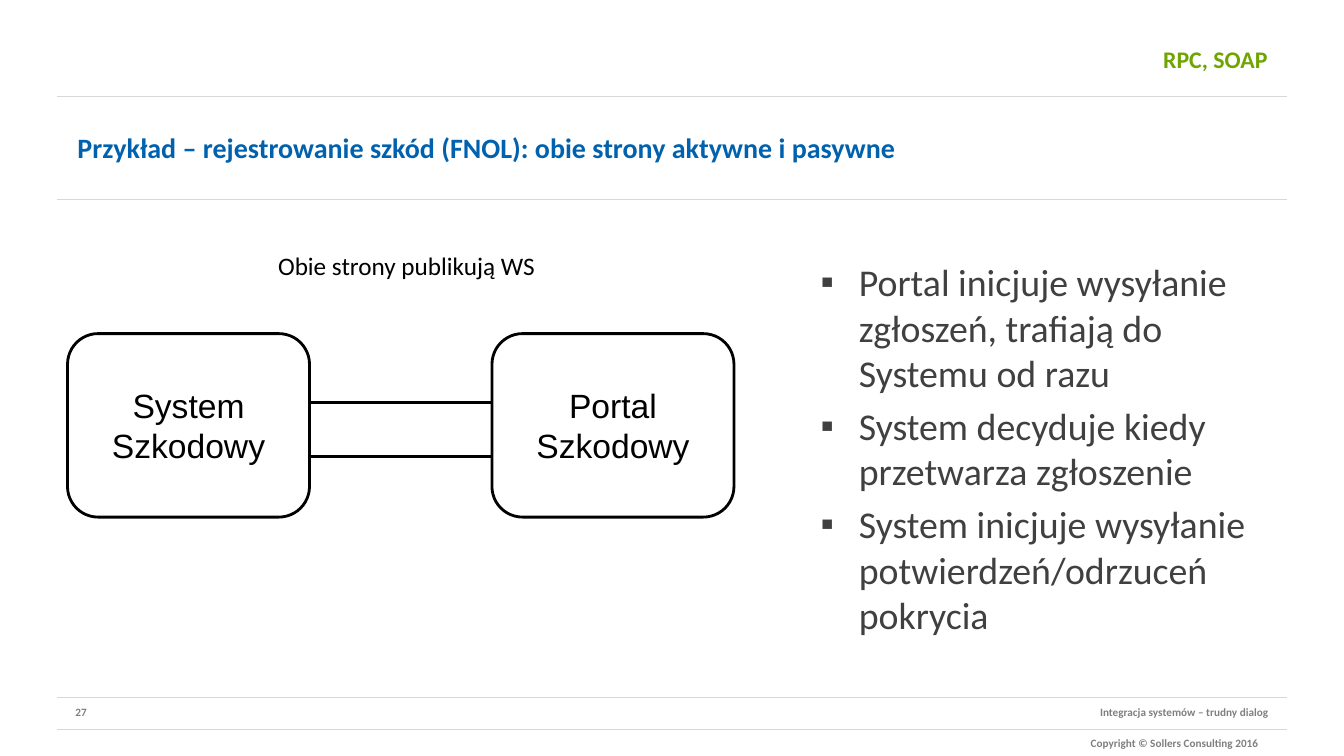
import pptx
import pptx.util
import pptx.dml.color
import pptx.enum.shapes
import pptx.enum.text
import pptx.oxml
import pptx.oxml.ns

Inches = pptx.util.Inches
Pt = pptx.util.Pt
ALIGN = pptx.enum.text.PP_ALIGN
ANCHOR = pptx.enum.text.MSO_ANCHOR
COLORS = {
    "rule": "D7D7D7",
    "foot": "7F7F7F",
    "green": "6EA500",
    "blue": "0062AE",
    "body": "404040",
    "black": "000000",
}


def get_color(name):
    return pptx.dml.color.RGBColor.from_string(COLORS[name])


def set_font(para, size, color, bold=False, face="Calibri"):
    font = para.font
    font.name = face
    font.size = Pt(size)
    font.bold = bold
    font.color.rgb = get_color(color)


def add_text(slide, box, text, size, color, bold=False,
             align=ALIGN.LEFT, anchor=ANCHOR.TOP, wrap=True):
    frame = slide.shapes.add_textbox(*map(Inches, box)).text_frame
    frame.word_wrap = wrap
    frame.vertical_anchor = anchor
    para = frame.paragraphs[0]
    para.text = text
    para.alignment = align
    set_font(para, size, color, bold)


def add_line(slide, left, right, y, color, width):
    line = slide.shapes.add_connector(
        pptx.enum.shapes.MSO_CONNECTOR.STRAIGHT,
        Inches(left), Inches(y), Inches(right), Inches(y))
    line.line.color.rgb = get_color(color)
    line.line.width = Pt(width)
    props = line._element.spPr
    props.append(props.makeelement(pptx.oxml.ns.qn("a:effectLst"), {}))


def add_node(slide, box, text):
    node = slide.shapes.add_shape(
        pptx.enum.shapes.MSO_SHAPE.ROUNDED_RECTANGLE, *map(Inches, box))
    node.shadow.inherit = False
    node.fill.background()
    node.line.color.rgb = get_color("black")
    node.line.width = Pt(2)
    frame = node.text_frame
    frame.word_wrap = True
    frame.vertical_anchor = ANCHOR.MIDDLE
    para = frame.paragraphs[0]
    para.text = text
    para.alignment = ALIGN.CENTER
    set_font(para, 24, "black", face="Arial")


def add_list(slide, box, items, size):
    frame = slide.shapes.add_textbox(*map(Inches, box)).text_frame
    frame.word_wrap = True
    for i, item in enumerate(items):
        para = frame.add_paragraph() if i else frame.paragraphs[0]
        para.text = item
        props = para._p.get_or_add_pPr()
        props.set("marL", str(Inches(0.38)))
        props.set("indent", str(Inches(-0.38)))
        for tag, key, value in (("a:buFont", "typeface", "Arial"),
                                ("a:buChar", "char", "▪")):
            mark = props.makeelement(pptx.oxml.ns.qn(tag), {key: value})
            props.append(mark)
        if i:
            para.space_before = Pt(size * 0.2)
        set_font(para, size, "body")


def add_frame(slide):
    """Draw the rules and the footer."""
    for y in (0.96, 1.98, 6.92, 7.24):
        add_line(slide, 0.57, 12.76, y, "rule", 1)
    for box, text, align in (
            ((0.65, 6.95, 3.18, 0.24), "27", ALIGN.LEFT),
            ((5.69, 6.95, 6.99, 0.24),
             "Integracja systemów – trudny dialog", ALIGN.RIGHT),
            ((5.59, 7.26, 6.99, 0.24),
             "Copyright © Sollers Consulting 2016", ALIGN.RIGHT)):
        add_text(slide, box, text, 8, "foot", True, align)


def add_diagram(slide):
    left, top, width, height, gap = 0.67, 3.31, 2.4, 1.82, 1.81
    add_text(slide, (2.66, 2.43, 2.78, 0.4), "Obie strony publikują WS",
             18, "black", wrap=False)
    for i, name in enumerate(("System Szkodowy", "Portal Szkodowy")):
        x = left + i * (width + gap)
        add_node(slide, (x, top, width, height), name)
    start = left + width
    for y in (3.99, 4.53):
        add_line(slide, start, start + gap, y, "black", 2)


def main():
    deck = pptx.Presentation()
    deck.slide_width = Inches(13.33)
    deck.slide_height = Inches(7.5)
    slide = deck.slides.add_slide(deck.slide_layouts[6])
    add_frame(slide)
    add_text(slide, (3.19, 0.21, 9.48, 0.76), "RPC, SOAP", 17, "green",
             True, ALIGN.RIGHT, ANCHOR.MIDDLE)
    add_text(slide, (0.67, 0.99, 11.91, 0.95),
             "Przykład – rejestrowanie szkód (FNOL): "
             "obie strony aktywne i pasywne",
             20, "blue", True, anchor=ANCHOR.MIDDLE)
    add_diagram(slide)
    add_list(slide, (8.04, 2.52, 4.63, 3.77), (
        "Portal inicjuje wysyłanie zgłoszeń, trafiają do Systemu od razu",
        "System decyduje kiedy przetwarza zgłoszenie",
        "System inicjuje wysyłanie potwierdzeń/odrzuceń pokrycia"), 27)
    deck.save("out.pptx")


if __name__ == "__main__":
    main()
